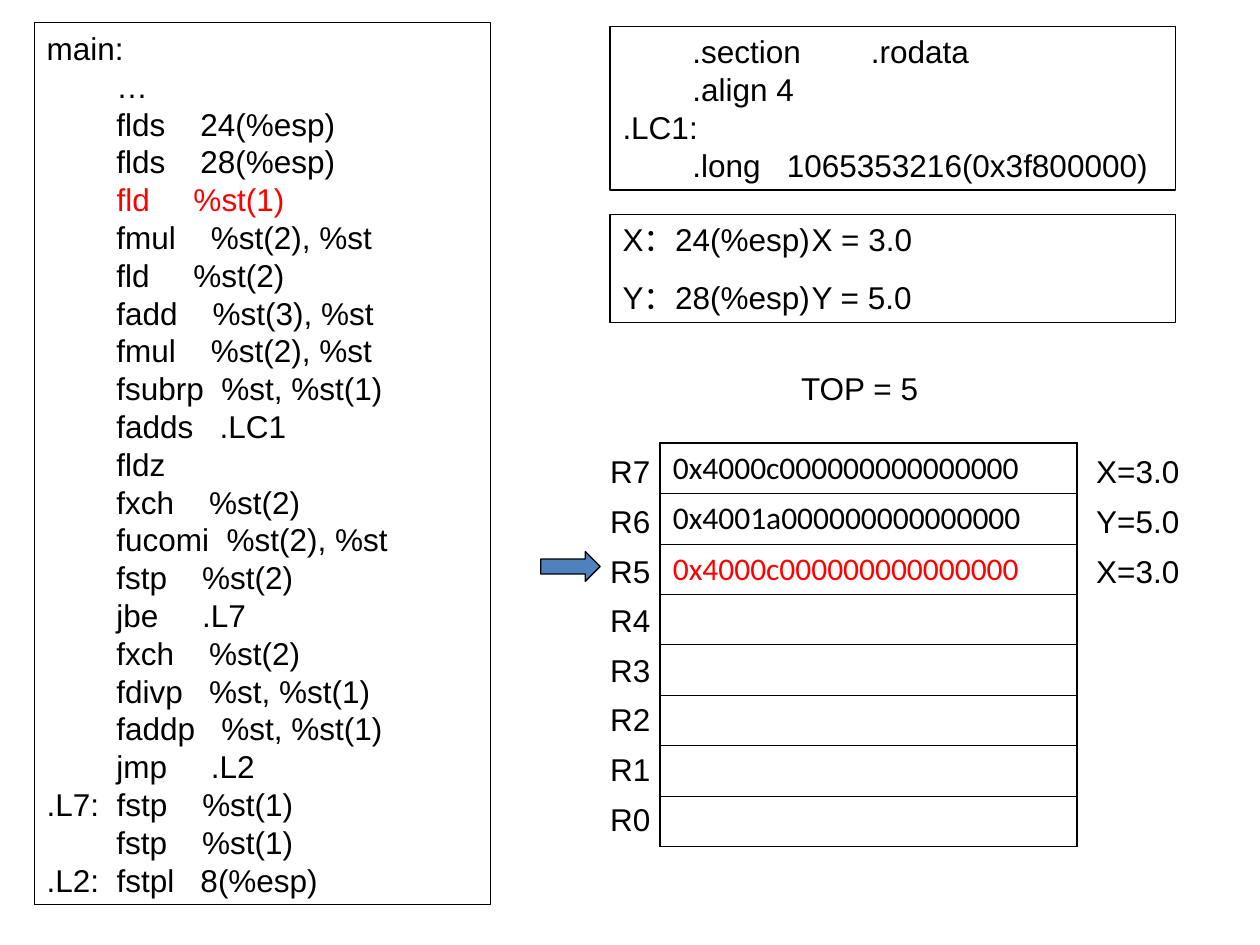
from dataclasses import dataclass
from typing import Any

from pptx import Presentation
from pptx.dml.color import RGBColor
from pptx.enum.shapes import MSO_SHAPE as Shape
from pptx.enum.text import MSO_ANCHOR as Anchor, MSO_AUTO_SIZE as AutoSize, PP_ALIGN as Align
from pptx.oxml import parse_xml
from pptx.oxml.ns import nsdecls
from pptx.util import Cm, Pt

BLACK = RGBColor(0x00, 0x00, 0x00)
RED = RGBColor(0xFF, 0x00, 0x00)
BLUE = RGBColor(0x4F, 0x81, 0xBD)

INDENT = " " * 8
CODE = """main:
        …
        flds    24(%esp)
        flds    28(%esp)
        fld     %st(1)
        fmul    %st(2), %st
        fld     %st(2)
        fadd    %st(3), %st
        fmul    %st(2), %st
        fsubrp  %st, %st(1)
        fadds   .LC1
        fldz
        fxch    %st(2)
        fucomi  %st(2), %st
        fstp    %st(2)
        jbe     .L7
        fxch    %st(2)
        fdivp   %st, %st(1)
        faddp   %st, %st(1)
        jmp     .L2
.L7:  fstp    %st(1)
        fstp    %st(1)
.L2:  fstpl   8(%esp)"""
CURRENT_LINE = 4
DATA_SECTION = """        .section        .rodata
        .align 4
.LC1:
        .long   1065353216(0x3f800000)"""
VARIABLES = ["X：24(%esp)\tX = 3.0", "Y：28(%esp)\tY = 5.0"]
REGISTERS = [
    ("0x4000c000000000000000", "X=3.0", 2.0, BLACK),
    ("0x4001a000000000000000", "Y=5.0", 1.8, BLACK),
    ("0x4000c000000000000000", "X=3.0", 2.0, RED),
]
REGISTER_COUNT = 8
LABEL_TOP = 9.12
LABEL_PITCH = 1.0
ROW_HEIGHT = 1.01


@dataclass
class Page:
    slide: Any
    font: str = "Arial"
    cell_font: str = "Calibri"
    size: float = 18
    thin: float = 0.45
    thick: float = 1.08

    def add_spans(self, para, spans, font=None):
        para.alignment = Align.LEFT
        for text, color in spans:
            span = para.add_run()
            span.text = text
            span.font.name = font or self.font
            span.font.size = Pt(self.size)
            span.font.color.rgb = color

    def fill_frame(self, frame, lines, gap=0):
        frame.word_wrap = True
        frame.auto_size = AutoSize.SHAPE_TO_FIT_TEXT
        frame.vertical_anchor = Anchor.TOP
        for index, spans in enumerate(lines):
            para = frame.add_paragraph() if index else frame.paragraphs[0]
            if index and gap:
                para.space_before = Pt(gap)
            self.add_spans(para, spans)

    def shape(self, kind, left, top, width, height, color=None):
        shape = self.slide.shapes.add_shape(kind, Cm(left), Cm(top), Cm(width), Cm(height))
        shape.shadow.inherit = False
        if color is None:
            shape.fill.background()
        else:
            shape.fill.solid()
            shape.fill.fore_color.rgb = color
        shape.line.color.rgb = BLACK
        shape.line.width = Pt(0.75)
        return shape

    def panel(self, left, top, width, height, lines, gap=0):
        box = self.shape(Shape.RECTANGLE, left, top, width, height)
        self.fill_frame(box.text_frame, lines, gap)

    def label(self, text, left, top, width, height, inset=True):
        box = self.slide.shapes.add_textbox(Cm(left), Cm(top), Cm(width), Cm(height))
        frame = box.text_frame
        if not inset:
            frame.margin_left = frame.margin_right = 0
            frame.margin_top = frame.margin_bottom = 0
        self.fill_frame(frame, [[(text, BLACK)]])

    def border(self, cell, side, points):
        cell._tc.get_or_add_tcPr().append(parse_xml(
            f'<a:ln{side} {nsdecls("a")} w="{Pt(points)}"><a:solidFill>'
            f'<a:srgbClr val="{BLACK}"/></a:solidFill></a:ln{side}>'))

    def stack(self, left, top, width, rows, values):
        frame = self.slide.shapes.add_table(
            rows, 1, Cm(left), Cm(top), Cm(width), Cm(rows * ROW_HEIGHT))
        table = frame.table
        table.first_row = table.horz_banding = False
        for index in range(rows):
            table.rows[index].height = Cm(ROW_HEIGHT)
            cell = table.cell(index, 0)
            self.border(cell, "L", self.thick)
            self.border(cell, "R", self.thick)
            self.border(cell, "T", self.thin if index else self.thick)
            self.border(cell, "B", self.thin if index < rows - 1 else self.thick)
            cell.fill.background()
            if index < len(values):
                self.add_spans(cell.text_frame.paragraphs[0], [values[index]], self.cell_font)


def plain(lines):
    return [[(line, BLACK)] for line in lines]


def main():
    deck = Presentation()
    deck.slide_width, deck.slide_height = Cm(25.4), Cm(19.05)
    page = Page(deck.slides.add_slide(deck.slide_layouts[6]))

    code_lines = CODE.split("\n")
    code_spans = plain(code_lines)
    code_spans[CURRENT_LINE] = [(INDENT, BLACK), (code_lines[CURRENT_LINE].strip(), RED)]
    page.panel(0.69, 0.46, 9.2, 17.78, code_spans)

    values = [(value, color) for value, _, _, color in REGISTERS]
    page.stack(13.31, 8.93, 8.4, REGISTER_COUNT, values)
    page.label("TOP = 5", 15.9, 7.32, 3.0, 1.02)
    page.shape(Shape.RIGHT_ARROW, 10.9, 11.12, 1.2, 0.6, BLUE)

    page.panel(12.3, 0.53, 11.4, 3.3, plain(DATA_SECTION.split("\n")))
    page.panel(12.3, 4.32, 11.4, 2.18, plain(VARIABLES), gap=11.2)

    for index in range(REGISTER_COUNT):
        top = LABEL_TOP + index * LABEL_PITCH
        page.label(f"R{REGISTER_COUNT - 1 - index}", 12.3, top, 1.0, 0.76, inset=False)
        if index < len(REGISTERS):
            _, meaning, width, _ = REGISTERS[index]
            page.label(meaning, 22.1, top, width, 0.76, inset=False)

    deck.save("out.pptx")


if __name__ == "__main__":
    main()
